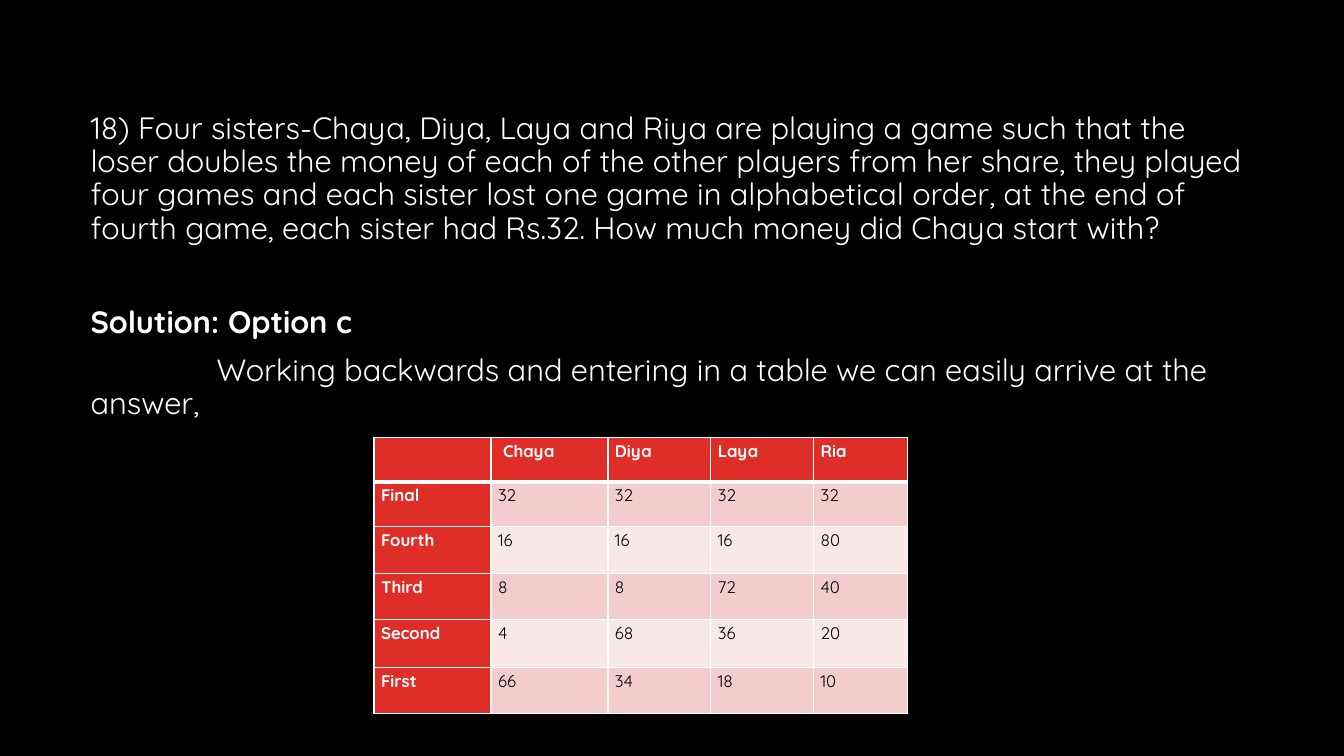
"""Build the slide solving the four sisters' game with a table worked backwards."""
from dataclasses import dataclass

from lxml import etree
from pptx import Presentation
from pptx import util as u
from pptx.dml.color import RGBColor
from pptx.enum import text
from pptx.oxml import ns


@dataclass(frozen=True)
class Theme:
    font: str = "Quicksand"
    background: str = "000000"
    light: str = "FFFFFF"
    dark: str = "000000"
    header: str = "DF2E28"
    bands: tuple = ("F3CDCD", "F9E8E8")
    body_size: float = 22
    table_size: float = 12


theme = Theme()


def write(p, content, size=theme.body_size, color=theme.light, bold=False,
          spacing=0.9, before=0, after=0):
    p.alignment = text.PP_ALIGN.LEFT
    p.line_spacing = spacing
    p.space_before, p.space_after = u.Pt(before), u.Pt(after)
    r = p.add_run()
    r.text = content
    r.font.name, r.font.size, r.font.bold = theme.font, u.Pt(size), bold
    r.font.color.rgb = RGBColor.from_string(color)


def add_border(cell, side, width):
    ln = etree.SubElement(cell._tc.get_or_add_tcPr(), ns.qn(f"a:ln{side}"), w=str(u.Pt(width)))
    fill = etree.SubElement(ln, ns.qn("a:solidFill"))
    etree.SubElement(fill, ns.qn("a:srgbClr"), val=theme.light)


prs = Presentation()
prs.slide_width, prs.slide_height = u.Inches(13.33), u.Inches(7.5)
s = prs.slides.add_slide(prs.slide_layouts[6])
s.background.fill.solid()
s.background.fill.fore_color.rgb = RGBColor.from_string(theme.background)

sp = s.shapes.add_textbox(u.Inches(0.8), u.Inches(1.07), u.Inches(11.78), u.Inches(5.73))
tf = sp.text_frame
tf.word_wrap = True
write(tf.paragraphs[0],
      "18) Four sisters-Chaya, Diya, Laya and Riya are playing a game such that the "
      "loser doubles the money of each of the other players from her share, they played "
      "four games and each sister lost one game in alphabetical order, at the end of "
      "fourth game, each sister had Rs.32. How much money did Chaya start with?")
write(tf.add_paragraph(), "Solution: Option c", bold=True, before=44)
p = tf.add_paragraph()
p._p.get_or_add_pPr().set("indent", str(u.Inches(1.25)))
write(p, "Working backwards and entering in a table we can easily arrive at the answer,",
      before=10)

rows = [
    ["", "Chaya", "Diya", "Laya", "Ria"],
    ["Final", "32", "32", "32", "32"],
    ["Fourth", "16", "16", "16", "80"],
    ["Third", "8", "8", "72", "40"],
    ["Second", "4", "68", "36", "20"],
    ["First", "66", "34", "18", "10"],
]
widths = [1.16, 1.16, 1.02, 1.02, 0.93]
heights = [0.44, 0.44, 0.47, 0.46, 0.47, 0.46]
table = s.shapes.add_table(len(rows), len(widths), u.Inches(3.71), u.Inches(4.34),
                           u.Inches(sum(widths)), u.Inches(sum(heights))).table
for column, width in zip(table.columns, widths):
    column.width = u.Inches(width)
for i, (values, height) in enumerate(zip(rows, heights)):
    table.rows[i].height = u.Inches(height)
    for j, value in enumerate(values):
        cell = table.cell(i, j)
        is_header = i == 0 or j == 0
        cell.margin_left = u.Inches(0.12 if value == "Chaya" else 0.07)
        cell.margin_right = u.Inches(0.07)
        cell.margin_top = cell.margin_bottom = 0
        for side in "LRTB":
            under_header = (i, side) in ((0, "B"), (1, "T"))
            add_border(cell, side, 3 if under_header else 1)
        cell.fill.solid()
        cell.fill.fore_color.rgb = RGBColor.from_string(
            theme.header if is_header else theme.bands[(i - 1) % 2])
        if value:
            write(cell.text_frame.paragraphs[0], value, size=theme.table_size,
                  color=theme.light if is_header else theme.dark, bold=is_header,
                  spacing=1.15, after=10)

prs.save("out.pptx")
